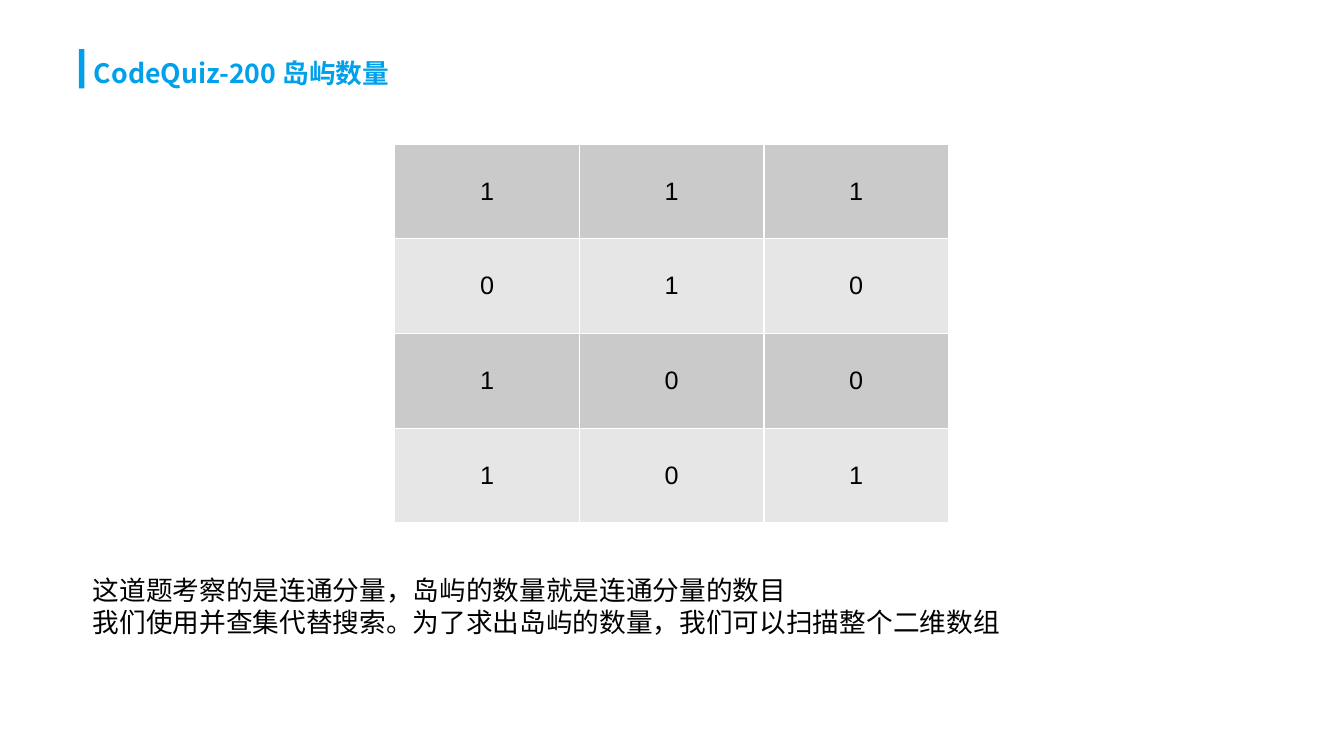
from lxml.etree import SubElement
from pptx import Presentation
from pptx.dml.color import RGBColor
from pptx.enum.shapes import MSO_SHAPE
from pptx.enum.text import MSO_ANCHOR, MSO_AUTO_SIZE, PP_ALIGN
from pptx.oxml import parse_xml
from pptx.oxml.ns import nsdecls, qn
from pptx.util import Inches, Pt

BLUE = RGBColor(0x00, 0xA0, 0xEA)
BLACK = RGBColor(0x00, 0x00, 0x00)
WHITE = RGBColor(0xFF, 0xFF, 0xFF)
DARK_GRAY = RGBColor(0xCA, 0xCA, 0xCA)
LIGHT_GRAY = RGBColor(0xE6, 0xE6, 0xE6)

CJK_FONT = "Noto Sans CJK JP"
PUNCTUATION_FONT = "Karla"
GRID_FONT = "Arial"

ISLAND_MAP = ["111", "010", "100", "101"]
EXPLANATION = [
    [("这道题考察的是连通分量，岛屿的数量就是连通分量的数目", CJK_FONT)],
    [
        ("我们使用并查集代替搜索", CJK_FONT),
        ("。", PUNCTUATION_FONT),
        ("为了求出岛屿的数量", CJK_FONT),
        ("，", PUNCTUATION_FONT),
        ("我们可以扫描整个二维数组", CJK_FONT),
    ],
]


def format_run(run, name, size, color, bold=False):
    """Set the font for both Latin and East Asian characters."""
    font = run.font
    font.name, font.size, font.bold = name, Pt(size), bold
    font.color.rgb = color
    SubElement(run._r.get_or_add_rPr(), qn("a:ea"), typeface=name)


def set_up_frame(text_frame):
    text_frame.word_wrap = True
    text_frame.auto_size = MSO_AUTO_SIZE.SHAPE_TO_FIT_TEXT
    text_frame.vertical_anchor = MSO_ANCHOR.TOP
    text_frame.margin_left = text_frame.margin_right = Inches(0.05)
    text_frame.margin_top = text_frame.margin_bottom = Inches(0.05)


def add_title_bar(slide):
    bar = slide.shapes.add_shape(
        MSO_SHAPE.RECTANGLE, Inches(0.74), Inches(0.46), Inches(0.05), Inches(0.37)
    )
    bar.shadow.inherit = False
    bar.fill.solid()
    bar.fill.fore_color.rgb = BLUE
    bar.line.fill.background()


def fill_title(slide, text):
    title = slide.shapes.title
    title.left, title.top = Inches(0.83), Inches(0.48)
    title.width, title.height = Inches(6.19), Inches(0.45)
    set_up_frame(title.text_frame)
    title.text_frame.text = text
    paragraph = title.text_frame.paragraphs[0]
    paragraph.alignment = PP_ALIGN.LEFT
    format_run(paragraph.runs[0], CJK_FONT, 18, BLUE, bold=True)


def add_cell_borders(cell, color):
    properties = cell._tc.get_or_add_tcPr()
    for position, side in enumerate(("lnL", "lnR", "lnT", "lnB")):
        border = parse_xml(
            f'<a:{side} {nsdecls("a")} w="{Pt(1)}"><a:solidFill>'
            f'<a:srgbClr val="{color}"/></a:solidFill></a:{side}>'
        )
        properties.insert(position, border)


def format_cell(cell, value, color):
    cell.fill.solid()
    cell.fill.fore_color.rgb = color
    add_cell_borders(cell, WHITE)
    cell.vertical_anchor = MSO_ANCHOR.MIDDLE
    cell.margin_left = cell.margin_right = 0
    cell.margin_top = cell.margin_bottom = 0
    cell.text_frame.text = value
    paragraph = cell.text_frame.paragraphs[0]
    paragraph.alignment = PP_ALIGN.CENTER
    format_run(paragraph.runs[0], GRID_FONT, 17, BLACK)


def add_island_table(slide, rows):
    table = slide.shapes.add_table(
        len(rows), len(rows[0]), Inches(3.7), Inches(1.35), Inches(5.19), Inches(3.55)
    ).table
    for row_index, values in enumerate(rows):
        color = LIGHT_GRAY if row_index % 2 else DARK_GRAY
        for column_index, value in enumerate(values):
            format_cell(table.cell(row_index, column_index), value, color)


def add_explanation(slide, lines):
    box = slide.shapes.add_textbox(
        Inches(0.82), Inches(5.33), Inches(9.45), Inches(0.71)
    )
    text_frame = box.text_frame
    set_up_frame(text_frame)
    for index, segments in enumerate(lines):
        paragraph = text_frame.add_paragraph() if index else text_frame.paragraphs[0]
        paragraph.line_spacing = Pt(21.6)
        for text, font_name in segments:
            run = paragraph.add_run()
            run.text = text
            format_run(run, font_name, 18, BLACK)


def main():
    presentation = Presentation()
    presentation.slide_width = Pt(907)
    presentation.slide_height = Pt(510)
    title_only = presentation.slide_layouts[5]
    slide = presentation.slides.add_slide(title_only)
    add_title_bar(slide)
    fill_title(slide, "CodeQuiz-200 岛屿数量")
    add_island_table(slide, ISLAND_MAP)
    add_explanation(slide, EXPLANATION)
    presentation.save("out.pptx")


if __name__ == "__main__":
    main()
